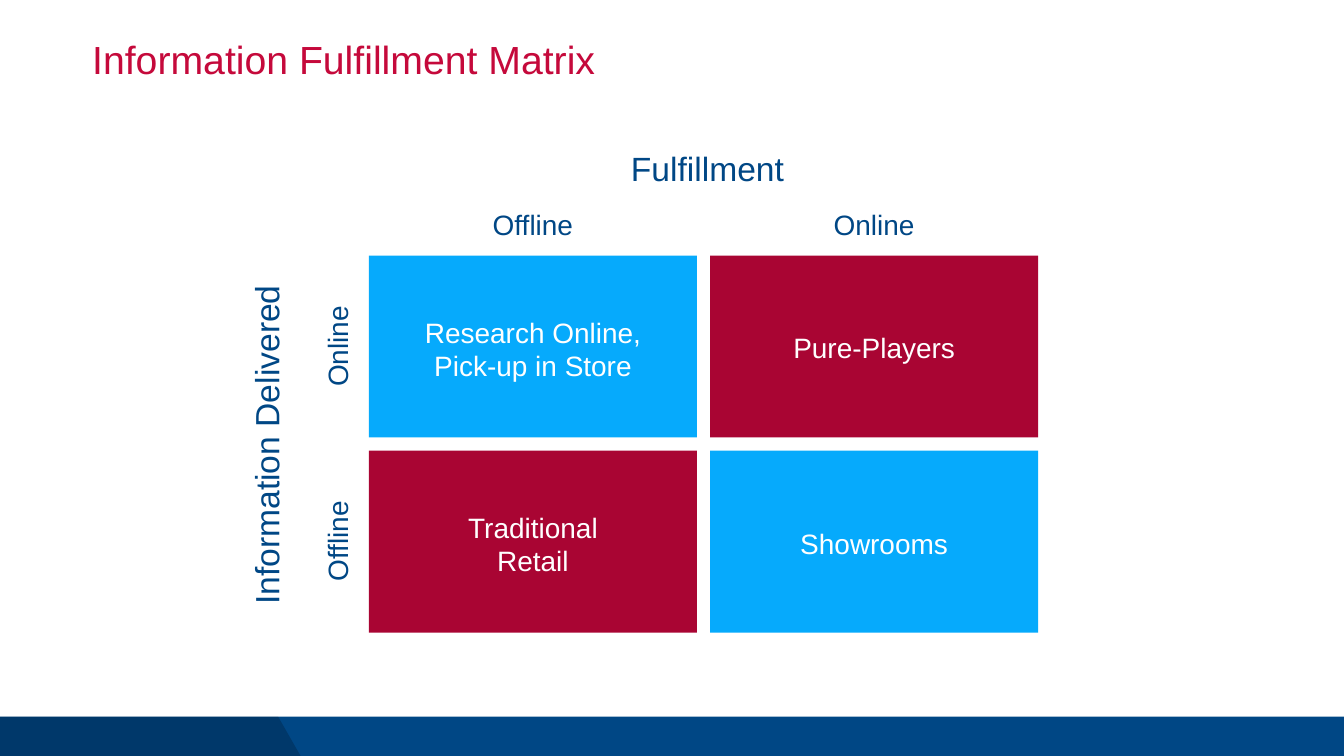
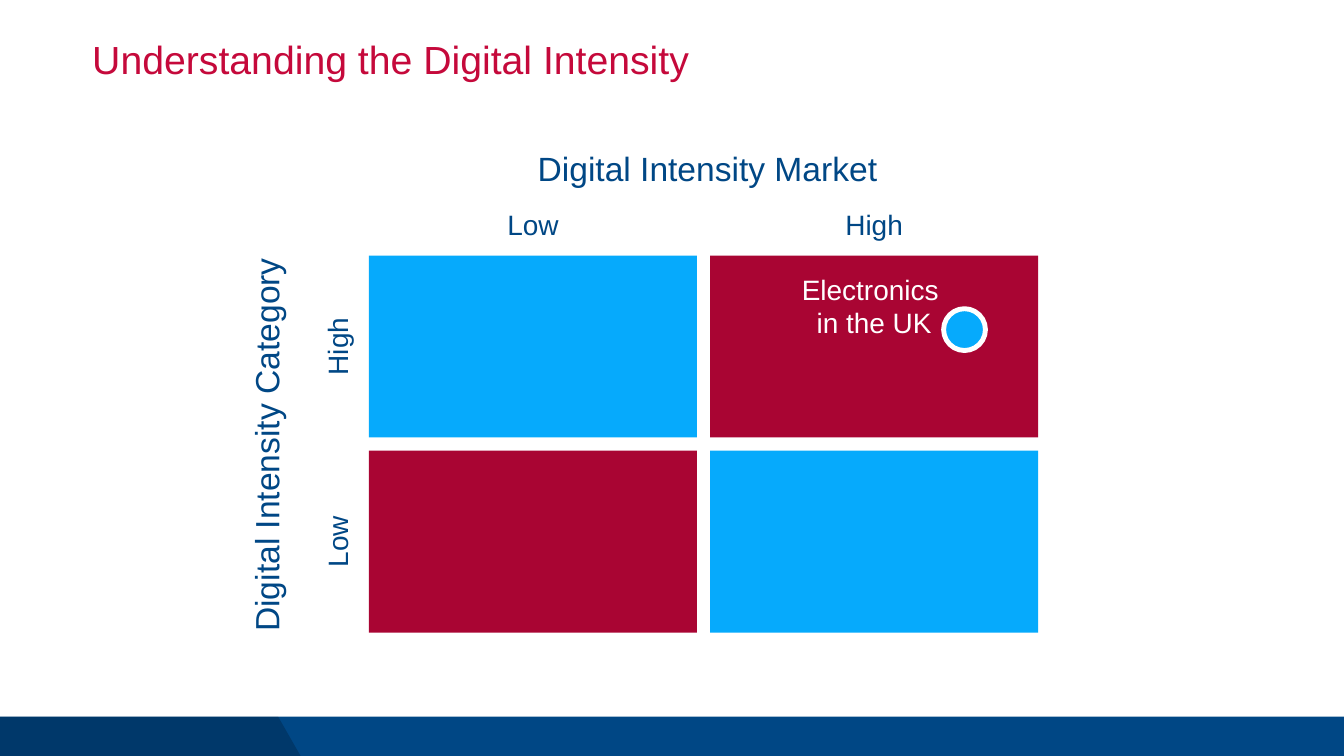
from lxml import etree
from pptx import Presentation
from pptx import util as u
from pptx.dml.color import RGBColor
from pptx.enum import shapes, text
from pptx.oxml.ns import qn

# The grid has one-inch columns and rows.
COLS, ROWS = 26.67, 15
BLUE, SKY, WINE, RED, WHITE = "004785", "06AAFC", "A90533", "C5093B", "FFFFFF"
FONT = "Arial"
BAND = 14.22, 0.84  # top, height

# Matrix: first cell, cell size and the gap between cells
LEFT, TOP, WIDE, HIGH, GAP = 7.32, 5.07, 6.51, 3.61, 0.26
MID_X = [LEFT + WIDE / 2 + i * (WIDE + GAP) for i in range(2)]
MID_Y = [TOP + HIGH / 2 + i * (HIGH + GAP) for i in range(2)]


def hue(code):
    return RGBColor.from_string(code)


class Deck:
    def __init__(self):
        self.prs = Presentation()
        self.prs.slide_width = u.Inches(COLS)
        self.prs.slide_height = u.Inches(ROWS)
        self.slide = None

    def page(self, title):
        """Start a slide with the shared band and title."""
        self.slide = self.prs.slides.add_slide(self.prs.slide_layouts[6])
        top, high = BAND
        self.shape(0, top, COLS, high, BLUE)
        self.wedge([(0, top), (5.52, top), (6, top + high), (0, top + high)])
        self.words([title], 1.83, 0.8, 23, 1.05, 56, RED,
                   align=text.PP_ALIGN.LEFT, inset=0, space=0.9)

    def paint(self, shape, fill, line=None, width=0):
        shape.shadow.inherit = False
        shape.fill.solid()
        shape.fill.fore_color.rgb = hue(fill)
        if line:
            shape.line.color.rgb = hue(line)
            shape.line.width = u.Pt(width)
        else:
            shape.line.fill.background()

    def shape(self, x, y, w, h, fill, line=None, width=0,
              kind=shapes.MSO_SHAPE.RECTANGLE):
        item = self.slide.shapes.add_shape(kind, *map(u.Inches, (x, y, w, h)))
        self.paint(item, fill, line, width)

    def wedge(self, points):
        """Draw a black outline at 20% opacity."""
        spots = [(u.Inches(x), u.Inches(y)) for x, y in points]
        pen = self.slide.shapes.build_freeform(*spots[0])
        pen.add_line_segments(spots[1:], close=True)
        item = pen.convert_to_shape()
        self.paint(item, "000000")
        tint = item.element.spPr.find(qn("a:solidFill")).find(qn("a:srgbClr"))
        etree.SubElement(tint, qn("a:alpha"), val="20000")

    def words(self, lines, x, y, w, h, size, color,
              align=text.PP_ALIGN.CENTER, inset=0.1, space=None, turn=0):
        box = self.slide.shapes.add_textbox(*map(u.Inches, (x, y, w, h)))
        box.rotation = turn
        frame = box.text_frame
        frame.text = "\n".join(lines)
        frame.word_wrap = True
        frame.margin_left = frame.margin_right = u.Inches(inset)
        frame.margin_top = frame.margin_bottom = u.Inches(inset)
        for para in frame.paragraphs:
            para.alignment = align
            para.line_spacing = space
            for run in para.runs:
                run.font.name = FONT
                run.font.size = u.Pt(size)
                run.font.color.rgb = hue(color)

    def label(self, lines, mid_x, mid_y, size=40, color=BLUE, w=7.01, turn=0):
        """Set lines centred on a point."""
        h = 0.19 + size / 64 * len(lines)
        self.words(lines, mid_x - w / 2, mid_y - h / 2, w, h, size, color,
                   turn=turn)

    def dot(self, mid_x, mid_y, size):
        self.shape(mid_x - size / 2, mid_y - size / 2, size, size, SKY,
                   WHITE, 7, shapes.MSO_SHAPE.OVAL)

    def matrix(self, across, down, heads, sides):
        """Draw the two-by-two cells with axis titles and headings."""
        self.label([across], 14.04, 3.31, 48)
        self.label([down], 5.25, 8.83, 48, w=7.93, turn=270)
        for head, x in zip(heads, MID_X):
            self.label([head], x, 4.42)
        for side, y in zip(sides, MID_Y):
            self.label([side], 6.66, y, w=3.64, turn=270)
        for row, y in enumerate(MID_Y):
            for col, x in enumerate(MID_X):
                self.shape(x - WIDE / 2, y - HIGH / 2, WIDE, HIGH,
                           (SKY, WINE)[(row + col) % 2])


def main():
    deck = Deck()

    deck.page("Information Fulfillment Matrix")
    deck.matrix("Fulfillment", "Information Delivered",
                ["Offline", "Online"], ["Online", "Offline"])
    models = [
        [["Research Online,", "Pick-up in Store"], ["Pure-Players"]],
        [["Traditional", "Retail"], ["Showrooms"]],
    ]
    for row, y in zip(models, MID_Y):
        for lines, x in zip(row, MID_X):
            deck.label(lines, x, y, color=WHITE)

    deck.page("Understanding the Digital Intensity")
    deck.matrix("Digital Intensity Market", "Digital Intensity Category",
                ["Low", "High"], ["High", "Low"])
    deck.label(["Electronics ", "in the UK"], MID_X[1], 6.02, color=WHITE)
    deck.dot(19.14, 6.54, 0.83)

    deck.prs.save("out.pptx")


if __name__ == "__main__":
    main()
